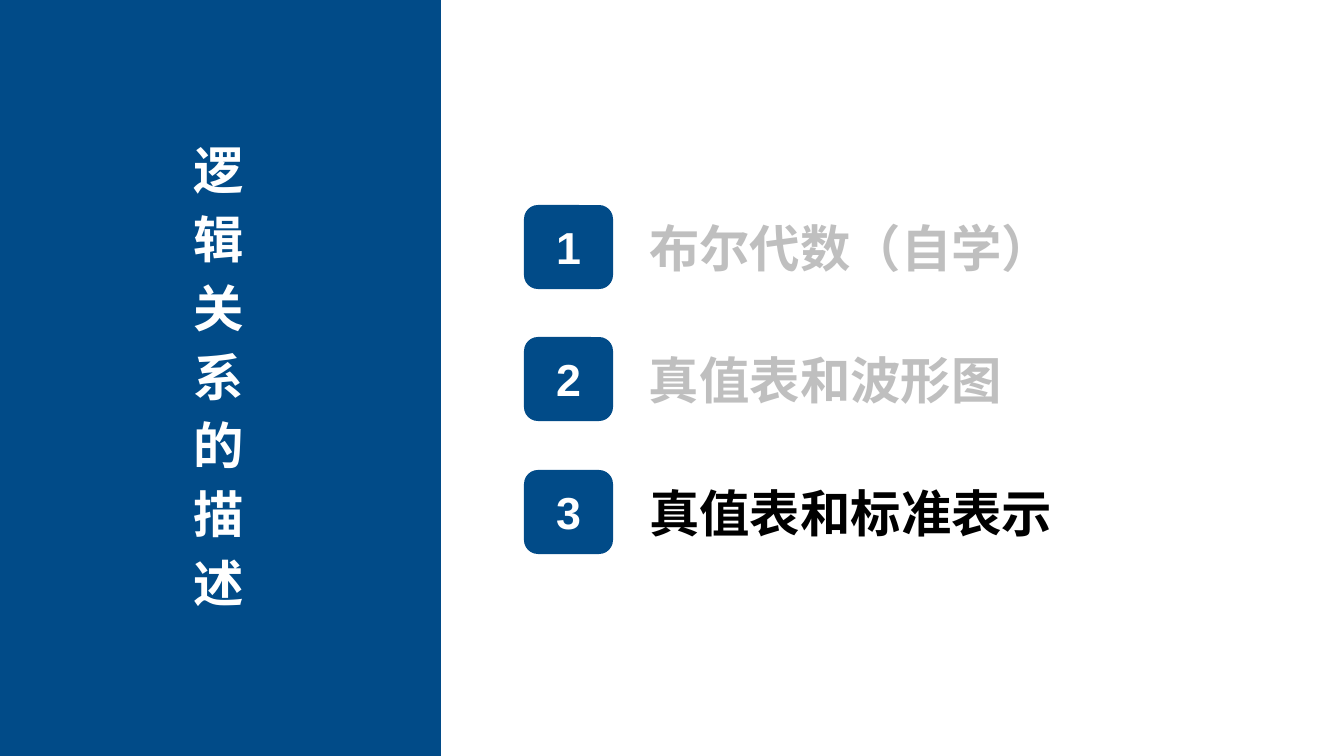
from pptx import Presentation
from pptx import util as u
from pptx.dml.color import RGBColor
from pptx.enum import shapes, text

BLUE = RGBColor(0x01, 0x4B, 0x88)
WHITE = RGBColor(0xFF, 0xFF, 0xFF)
GRAY = RGBColor(0xBF, 0xBF, 0xBF)
BLACK = RGBColor(0, 0, 0)


def px(length):
    return u.Emu(round(length * 914400 / 100.8))


def add_box(preset, left, top, width, height, content="", size=36, color=WHITE,
            align=text.PP_ALIGN.CENTER):
    """Add a blue preset shape, or a plain text box when preset is None."""
    place = px(left), px(top), px(width), px(height)
    if preset is None:
        shape = slide.shapes.add_textbox(*place)
    else:
        shape = slide.shapes.add_shape(preset, *place)
        shape.shadow.inherit = False
        shape.fill.solid()
        shape.fill.fore_color.rgb = BLUE
        shape.line.fill.background()
    frame = shape.text_frame
    frame.word_wrap = True
    frame.vertical_anchor = text.MSO_ANCHOR.MIDDLE
    frame.margin_left = frame.margin_right = 0
    frame.margin_top = frame.margin_bottom = 0
    frame.text = content
    for paragraph in frame.paragraphs:
        paragraph.alignment = align
        for run in paragraph.runs:
            run.font.name = "Arial"
            run.font.size = u.Pt(size)
            run.font.bold = True
            run.font.color.rgb = color
    return shape


presentation = Presentation()
presentation.slide_width = px(1344)
presentation.slide_height = px(756)
slide = presentation.slides.add_slide(presentation.slide_layouts[6])

# Left panel
add_box(shapes.MSO_SHAPE.RECTANGLE, 0, 0, 441, 756)

# Numbered agenda, current topic in black
topics = [
    ("布尔代数（自学）", 560, GRAY),
    ("真值表和波形图", 476, GRAY),
    ("真值表和标准表示", 523, BLACK),
]
for index, (topic, width, color) in enumerate(topics):
    top = 205 + index * 265 // 2
    add_box(shapes.MSO_SHAPE.ROUNDED_RECTANGLE, 524, top, 89, 84, str(index + 1), 32)
    add_box(None, 649, top + 12, width, 61, topic, 36, color, text.PP_ALIGN.LEFT)

# Title, one character per line
title = add_box(None, 114, 139, 210, 479, "\n".join("逻辑关系的描述"))
title.text_frame.vertical_anchor = text.MSO_ANCHOR.TOP
for paragraph in title.text_frame.paragraphs:
    paragraph.space_after = u.Pt(6)

presentation.save("out.pptx")
